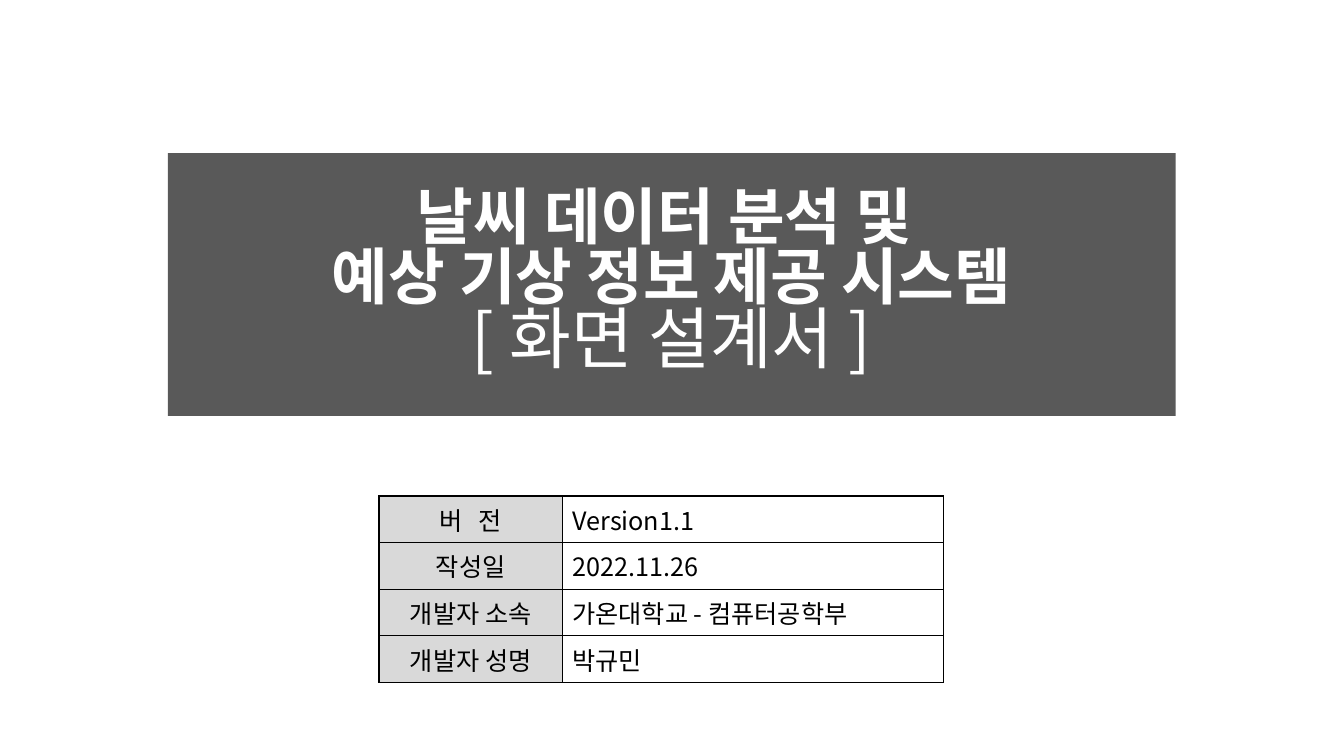
from lxml.etree import SubElement
from pptx import Presentation
from pptx.dml.color import RGBColor
from pptx.enum.shapes import MSO_SHAPE
from pptx.enum.text import MSO_ANCHOR, PP_ALIGN
from pptx.oxml import parse_xml
from pptx.oxml.ns import nsdecls, qn
from pptx.util import Cm, Pt

FONT = "Noto Sans CJK KR"
WHITE = RGBColor(0xFF, 0xFF, 0xFF)
BLACK = RGBColor(0, 0, 0)
BANNER_GRAY = RGBColor(0x59, 0x59, 0x59)
LABEL_GRAY = RGBColor(0xD9, 0xD9, 0xD9)

TITLE_FORMAT = {"size": Pt(44), "bold": True, "color": WHITE}
SUBTITLE_FORMAT = {"size": Pt(48), "bold": False, "color": WHITE}
CELL_FORMAT = {"size": Pt(18), "bold": False, "color": BLACK}

TITLE_LINES = [
    ("날씨 데이터 분석 및 ", TITLE_FORMAT),
    ("예상 기상 정보 제공 시스템", TITLE_FORMAT),
    ("[ 화면 설계서 ]", SUBTITLE_FORMAT),
]
# Label, value, letter spacing of the label in points
DOCUMENT_INFO = [
    ("버 전", "Version1.1", 4),
    ("작성일", "2022.11.26", 0),
    ("개발자 소속", "가온대학교 - 컴퓨터공학부", 0),
    ("개발자 성명", "박규민", 0),
]


def add_text(paragraph, text, text_format, letter_spacing=0):
    run = paragraph.add_run()
    run.text = text
    for name, value in text_format.items():
        if name == "color":
            run.font.color.rgb = value
        else:
            setattr(run.font, name, value)
    run.font.name = FONT
    # Korean letters take the East Asian typeface
    properties = run._r.get_or_add_rPr()
    SubElement(properties, qn("a:ea")).set("typeface", FONT)
    if letter_spacing:
        properties.set("spc", str(letter_spacing * 100))


def add_title_banner(slide):
    shape = slide.shapes.add_shape(
        MSO_SHAPE.RECTANGLE, Cm(4.23), Cm(3.86), Cm(25.4), Cm(6.62))
    shape.shadow.inherit = False
    shape.fill.solid()
    shape.fill.fore_color.rgb = BANNER_GRAY
    shape.line.fill.background()
    frame = shape.text_frame
    frame.word_wrap = True
    frame.vertical_anchor = MSO_ANCHOR.MIDDLE
    paragraph = frame.paragraphs[0]
    paragraph.alignment = PP_ALIGN.CENTER
    paragraph.line_spacing = 0.81
    for index, (text, text_format) in enumerate(TITLE_LINES):
        if index:
            paragraph.add_line_break()
        add_text(paragraph, text, text_format)


def set_borders(cell):
    properties = cell._tc.get_or_add_tcPr()
    for position, side in enumerate(("lnL", "lnR", "lnT", "lnB")):
        properties.insert(position, parse_xml(
            f'<a:{side} {nsdecls("a")} w="{Pt(1)}"><a:solidFill>'
            f'<a:srgbClr val="{BLACK}"/></a:solidFill></a:{side}>'))


def fill_cell(cell, text, color, alignment, letter_spacing=0):
    cell.fill.solid()
    cell.fill.fore_color.rgb = color
    set_borders(cell)
    paragraph = cell.text_frame.paragraphs[0]
    paragraph.alignment = alignment
    add_text(paragraph, text, CELL_FORMAT, letter_spacing)


def add_info_table(slide):
    row_height = Cm(1.03)
    table = slide.shapes.add_table(
        len(DOCUMENT_INFO), 2, Cm(9.55), Cm(12.5), Cm(14.22),
        row_height * len(DOCUMENT_INFO)).table
    for column, width in zip(table.columns, (Cm(4.62), Cm(9.6))):
        column.width = width
    for index, (label, value, letter_spacing) in enumerate(DOCUMENT_INFO):
        table.rows[index].height = row_height
        fill_cell(table.cell(index, 0), label, LABEL_GRAY,
                  PP_ALIGN.CENTER, letter_spacing)
        fill_cell(table.cell(index, 1), value, WHITE, PP_ALIGN.LEFT)


def main():
    presentation = Presentation()
    presentation.slide_width = Cm(33.87)
    presentation.slide_height = Cm(19.05)
    slide = presentation.slides.add_slide(presentation.slide_layouts[6])
    add_title_banner(slide)
    add_info_table(slide)
    presentation.save("out.pptx")


if __name__ == "__main__":
    main()
